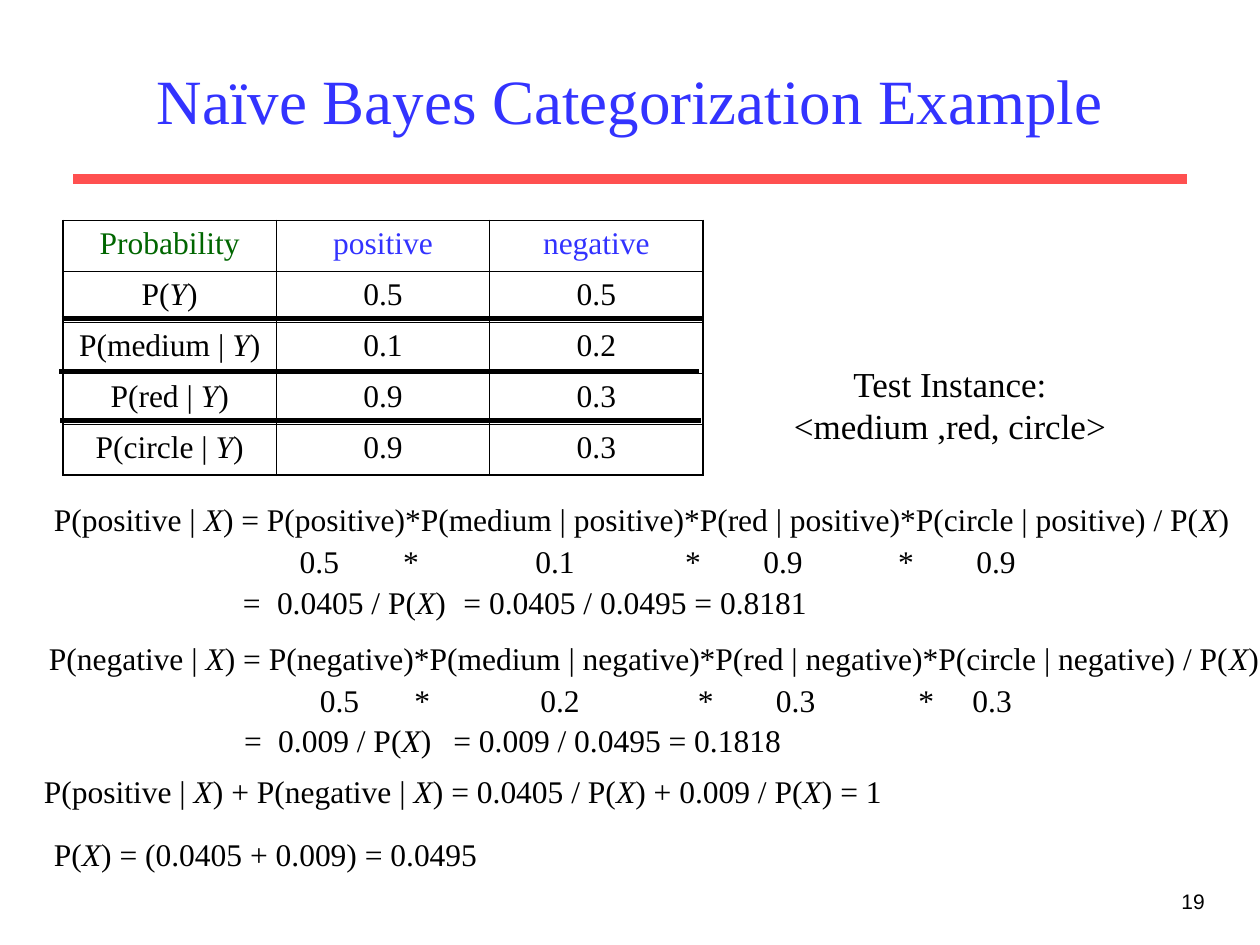
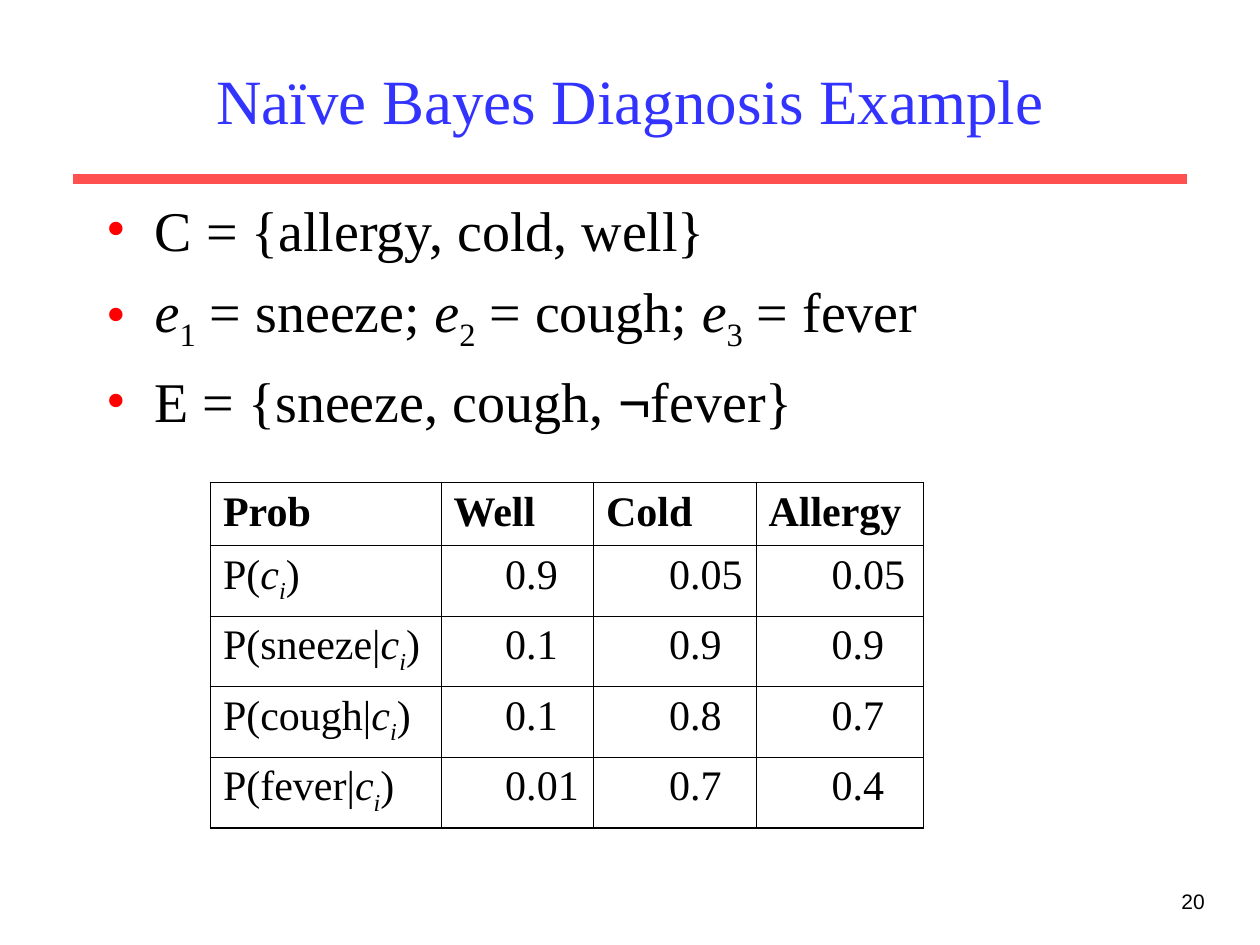
from itertools import groupby
from pptx import Presentation
from pptx.dml.color import RGBColor
from pptx.enum.shapes import MSO_CONNECTOR
from pptx.enum.text import MSO_ANCHOR, PP_ALIGN
from pptx.oxml.ns import qn
from pptx.util import Inches, Pt
from lxml.etree import SubElement

BLACK, BLUE, GREEN = "000000", "3333FF", "006600"
CORAL, RED = "FF5050", "FF0000"
SERIF, SANS = "Times New Roman", "Arial"
ITALIC, SUBSCRIPT, SYMBOL = "_", "~", "^"
OUTER_BORDER, INNER_BORDER = 1.08, 0.45


def color(value):
    return RGBColor.from_string(value)


def styled_characters(text):
    active = frozenset()
    for character in text:
        if character in (ITALIC, SUBSCRIPT, SYMBOL):
            active ^= {character}
        else:
            yield character, active


def write(para, text, size, ink=BLACK, font=SERIF, align=PP_ALIGN.LEFT, bold=False):
    para.alignment = align
    for styles, group in groupby(styled_characters(text), key=lambda pair: pair[1]):
        span = para.add_run()
        span.text = "".join(character for character, _ in group)
        span.font.size = Pt(size)
        span.font.name = SANS if SYMBOL in styles else font
        span.font.color.rgb = color(ink)
        span.font.bold = bold
        span.font.italic = ITALIC in styles
        if SUBSCRIPT in styles:
            span.font._element.set("baseline", "-25000")


def add_text(page, box, lines, size, right_inset=0.1, anchor=MSO_ANCHOR.TOP, **style):
    frame = page.shapes.add_textbox(*map(Inches, box)).text_frame
    frame.word_wrap = True
    frame.vertical_anchor = anchor
    frame.margin_right = Inches(right_inset)
    for index, line in enumerate(lines):
        para = frame.add_paragraph() if index else frame.paragraphs[0]
        write(para, line, size, **style)
    return frame.paragraphs


def add_rule(page, left, top, width, ink, weight):
    rule = page.shapes.add_connector(
        MSO_CONNECTOR.STRAIGHT, Inches(left), Inches(top), Inches(left + width), Inches(top))
    rule.line.color.rgb = color(ink)
    rule.line.width = Pt(weight)
    SubElement(rule._element.spPr, qn("a:effectLst"))


def add_page(deck, title, number):
    page = deck.slides.add_slide(deck.slide_layouts[6])
    add_rule(page, 0.58, 1.42, 8.84, CORAL, 6)
    add_text(page, (7.58, 7, 2.08, 0.5), [number], 12, font=SANS, align=PP_ALIGN.RIGHT)
    add_text(page, (0.75, 0.25, 8.5, 1.08), [title], 36, ink=BLUE,
             anchor=MSO_ANCHOR.MIDDLE, align=PP_ALIGN.CENTER)
    return page


def add_tabs(para, stops):
    tab_list = SubElement(para._p.get_or_add_pPr(), qn("a:tabLst"))
    for stop in stops:
        SubElement(tab_list, qn("a:tab"), pos=str(Inches(stop)), algn="l")


def add_bullet(para, indent):
    properties = para._p.get_or_add_pPr()
    properties.set("marL", str(Inches(indent)))
    properties.set("indent", str(-Inches(indent)))
    SubElement(SubElement(properties, qn("a:buClr")), qn("a:srgbClr"), val=RED)
    SubElement(properties, qn("a:buFont"), typeface=SERIF)
    SubElement(properties, qn("a:buChar"), char="•")


def set_borders(cell, outer_sides):
    properties = cell._tc.get_or_add_tcPr()
    for side, is_outer in zip("LRTB", outer_sides):
        weight = OUTER_BORDER if is_outer else INNER_BORDER
        line = SubElement(properties, qn("a:ln" + side), w=str(Pt(weight)))
        fill = SubElement(line, qn("a:solidFill"))
        SubElement(fill, qn("a:srgbClr"), val=BLACK)


def add_grid(page, box, rows, write_cell):
    last_row, last_column = len(rows) - 1, len(rows[0]) - 1
    table = page.shapes.add_table(len(rows), len(rows[0]), *map(Inches, box)).table
    table.first_row = table.horz_banding = False
    for row, texts in enumerate(rows):
        for column, text in enumerate(texts):
            cell = table.cell(row, column)
            set_borders(cell, (column == 0, column == last_column, row == 0, row == last_row))
            cell.fill.background()
            write_cell(cell, row, column, text)
    return table


def write_probability_cell(cell, row, column, text):
    ink = BLACK if row else BLUE if column else GREEN
    write(cell.text_frame.paragraphs[0], text, 18, ink, align=PP_ALIGN.CENTER)


def write_diagnosis_cell(cell, row, column, text):
    if row and column:
        cell.margin_left = Inches(0.51 if column == 1 else 0.6)
        cell.margin_right = Inches(0.05)
    write(cell.text_frame.paragraphs[0], text, 24, bold=row == 0)


def add_probability_table(page, left, top):
    rows = [
        ("Probability", "positive", "negative"),
        ("P(_Y_)", "0.5", "0.5"),
        ("P(medium | _Y_)", "0.1", "0.2"),
        ("P(red | _Y_)", "0.9", "0.3"),
        ("P(circle | _Y_)", "0.9", "0.3"),
    ]
    width = 5.08
    add_grid(page, (left, top, width, 2.02), rows, write_probability_cell)
    for shift, drop in ((-0.01, 0.78), (-0.03, 1.2), (-0.02, 1.59)):
        add_rule(page, left + shift, top + drop, width, BLACK, 3)


def add_posterior(page, box, label, factors, product, factor_stops, product_stops):
    conditions = "*".join(f"P({feature} | {label})" for feature in ("medium", "red", "circle"))
    lines = [
        f"P({label} | _X_) = P({label})*{conditions} / P(_X_)",
        "\t" + "\t*\t".join(factors),
        f"\t=\t{product} / P(_X_)",
    ]
    _, factor_line, product_line = add_text(page, box, lines, 18, right_inset=0)
    factor_line.space_before = Pt(2.5)
    product_line.space_before = Pt(1.5)
    add_tabs(factor_line, factor_stops)
    add_tabs(product_line, product_stops)


def add_equation(page, box, text):
    add_text(page, box, [text], 18, right_inset=0)


def build_categorization(deck):
    page = add_page(deck, "Naïve Bayes Categorization Example", "19")
    add_probability_table(page, 0.5, 1.75)
    add_posterior(page, (0.33, 3.92, 9.52, 1.04), "positive",
                  ("0.5", "0.1", "0.9", "0.9"), "0.0405",
                  (1.95, 2.77, 3.82, 5.01, 5.63, 6.7, 7.32), (1.5, 1.77))
    add_posterior(page, (0.29, 5.02, 9.87, 1.07), "negative",
                  ("0.5", "0.2", "0.3", "0.3"), "0.009",
                  (2.15, 2.9, 3.9, 5.15, 5.77, 6.9, 7.33), (1.55, 1.82))
    add_equation(page, (0.25, 6.08, 6.85, 0.4),
                 "P(positive | _X_) + P(negative | _X_) = 0.0405 / P(_X_) + 0.009 / P(_X_) = 1")
    add_equation(page, (0.33, 6.58, 3.62, 0.4), "P(_X_) = (0.0405 + 0.009) = 0.0495")
    add_equation(page, (3.58, 4.58, 2.92, 0.4), "= 0.0405 / 0.0495 = 0.8181")
    add_equation(page, (3.5, 5.67, 2.8, 0.4), "= 0.009 / 0.0495 = 0.1818")
    add_text(page, (6.2, 2.83, 2.68, 0.77), ["Test Instance:", "<medium ,red, circle>"],
             20, align=PP_ALIGN.CENTER)


def add_definitions(page, box):
    lines = [
        "C = {allergy, cold, well}",
        "_e_~1~ = sneeze; _e_~2~ = cough; _e_~3~ = fever",
        "E = {sneeze, cough, ^¬^fever}",
    ]
    for index, para in enumerate(add_text(page, box, lines, 32)):
        if index:
            para.space_before = Pt(8)
        add_bullet(para, 0.38)


def add_diagnosis_table(page, left, top):
    rows = [
        ("Prob", "Well", "Cold", "Allergy"),
        ("P(_c~i~_)", "0.9", "0.05", "0.05"),
        ("P(sneeze|_c~i~_)", "0.1", "0.9", "0.9"),
        ("P(cough|_c~i~_)", "0.1", "0.8", "0.7"),
        ("P(fever|_c~i~_)", "0.01", "0.7", "0.4"),
    ]
    table = add_grid(page, (left, top, 5.66, 2.74), rows, write_diagnosis_cell)
    for column, width in zip(table.columns, (1.83, 1.21, 1.29, 1.33)):
        column.width = Inches(width)
    for index, row in enumerate(table.rows):
        row.height = Inches(0.56 if index else 0.5)


def build_diagnosis(deck):
    page = add_page(deck, "Naïve Bayes Diagnosis Example", "20")
    add_definitions(page, (0.75, 1.5, 8.5, 5.13))
    add_diagnosis_table(page, 1.67, 3.83)


def main():
    deck = Presentation()
    deck.slide_width, deck.slide_height = Inches(10), Inches(7.5)
    build_categorization(deck)
    build_diagnosis(deck)
    deck.save("out.pptx")


if __name__ == "__main__":
    main()
